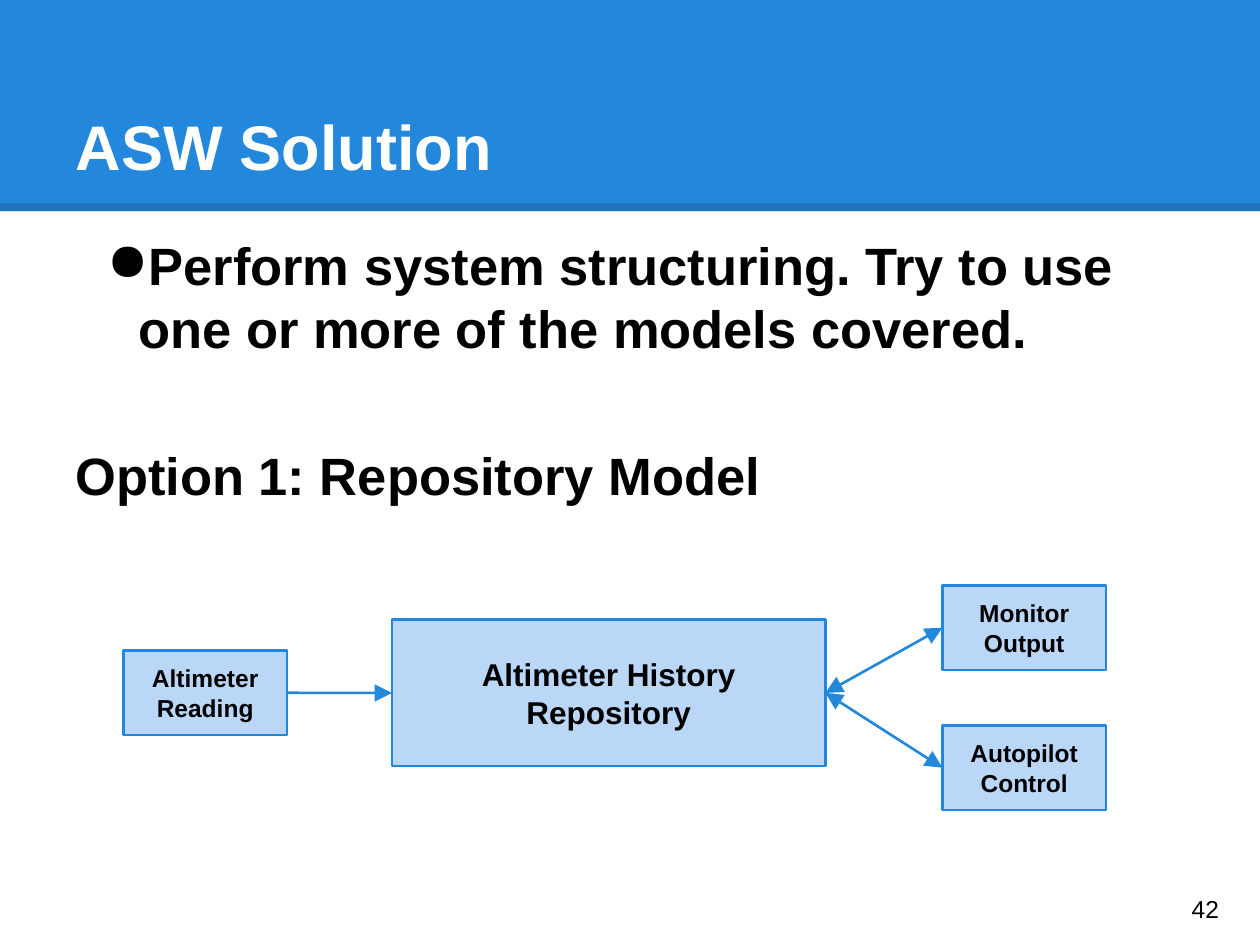
from lxml.etree import SubElement
from pptx import Presentation
from pptx.dml.color import RGBColor
from pptx.enum.shapes import MSO_CONNECTOR as CONNECTOR, MSO_SHAPE as SHAPE
from pptx.enum.text import MSO_ANCHOR as ANCHOR, PP_ALIGN as ALIGN
from pptx.oxml.ns import qn
from pptx.util import Pt

BLUE = RGBColor(0x23, 0x88, 0xDB)
DARK_BLUE = RGBColor(0x1E, 0x74, 0xBA)
PALE_BLUE = RGBColor(0xBB, 0xD7, 0xF8)
BLACK = RGBColor(0, 0, 0)
WHITE = RGBColor(255, 255, 255)

TITLE = "ASW Solution"
TASK = "Perform system structuring. Try to use one or more of the models covered."
OPTION = "Option 1: Repository Model"
PAGE = "42"

SMALL = (93.6, 48.4)
LARGE = (247.7, 83.5)
BOXES = {
    "Altimeter History Repository": (224, 354.2, LARGE, 18),
    "Monitor Output": (538.5, 334.5, SMALL, 14),
    "Autopilot Control": (538.5, 414.5, SMALL, 14),
    "Altimeter Reading": (70.5, 371.7, SMALL, 14),
}
FLOWS = [
    ("Monitor Output", "Altimeter History Repository", True),
    ("Autopilot Control", "Altimeter History Repository", True),
    ("Altimeter History Repository", "Altimeter Reading", False),
]
LEFT_SIDE, RIGHT_SIDE = 1, 3


def set_frame(shape, anchor):
    frame = shape.text_frame
    frame.word_wrap = True
    frame.vertical_anchor = anchor
    frame.margin_left = frame.margin_right = Pt(7.2)
    frame.margin_top = frame.margin_bottom = Pt(7.2)
    return frame


def write(paragraph, text, size, color=BLACK, bold=True, align=ALIGN.LEFT):
    paragraph.text = text
    paragraph.alignment = align
    font = paragraph.font
    font.name, font.size, font.bold = "Arial", Pt(size), bold
    font.color.rgb = color


def add_rect(shapes, left, top, width, height, fill):
    rect = shapes.add_shape(SHAPE.RECTANGLE, Pt(left), Pt(top), Pt(width), Pt(height))
    rect.shadow.inherit = False
    rect.fill.solid()
    rect.fill.fore_color.rgb = fill
    rect.line.fill.background()
    return rect


def add_flow(shapes, start, end, both_ways):
    flow = shapes.add_connector(CONNECTOR.STRAIGHT, 0, 0, 0, 0)
    flow.begin_connect(start, LEFT_SIDE)
    flow.end_connect(end, RIGHT_SIDE)
    flow.line.color.rgb = BLUE
    flow.line.width = Pt(1.5)
    line = flow.line._get_or_add_ln()
    for tag in ("a:headEnd", "a:tailEnd") if both_ways else ("a:headEnd",):
        SubElement(line, qn(tag), type="triangle", w="lg", len="lg")
    SubElement(flow._element.spPr, qn("a:effectLst"))


def main():
    deck = Presentation()
    deck.slide_width, deck.slide_height = Pt(720), Pt(540)
    slide = deck.slides.add_slide(deck.slide_layouts[5])
    shapes = slide.shapes

    title = shapes.title
    bands = [add_rect(shapes, 0, 0, 720, 120.6, BLUE),
             add_rect(shapes, 0, 116.1, 720, 4.5, DARK_BLUE)]
    for band in bands:
        title._element.addprevious(band._element)

    title.left, title.top, title.width, title.height = Pt(36), Pt(21.6), Pt(648), Pt(90)
    write(set_frame(title, ANCHOR.BOTTOM).paragraphs[0], TITLE, 36, WHITE)

    body = shapes.add_textbox(Pt(36), Pt(126), Pt(648), Pt(170.6))
    frame = set_frame(body, ANCHOR.TOP)
    task, option = frame.paragraphs[0], frame.add_paragraph()
    props = task._p.get_or_add_pPr()
    props.set("marL", str(Pt(36)))
    props.set("indent", str(Pt(-18)))
    SubElement(props, qn("a:buChar"), char="●")
    write(task, TASK, 30)
    write(option, OPTION, 30)
    option.space_before = Pt(48)

    boxes = {}
    for label, (left, top, (width, height), size) in BOXES.items():
        box = boxes[label] = add_rect(shapes, left, top, width, height, PALE_BLUE)
        box.line.color.rgb = BLUE
        box.line.width = Pt(1.5)
        write(set_frame(box, ANCHOR.MIDDLE).paragraphs[0], label, size, align=ALIGN.CENTER)

    for start, end, both_ways in FLOWS:
        add_flow(shapes, boxes[start], boxes[end], both_ways)

    page = shapes.add_textbox(Pt(673.9), Pt(499), Pt(43.2), Pt(41))
    write(set_frame(page, ANCHOR.MIDDLE).paragraphs[0], PAGE, 14, bold=False)

    deck.save("out.pptx")


if __name__ == "__main__":
    main()
